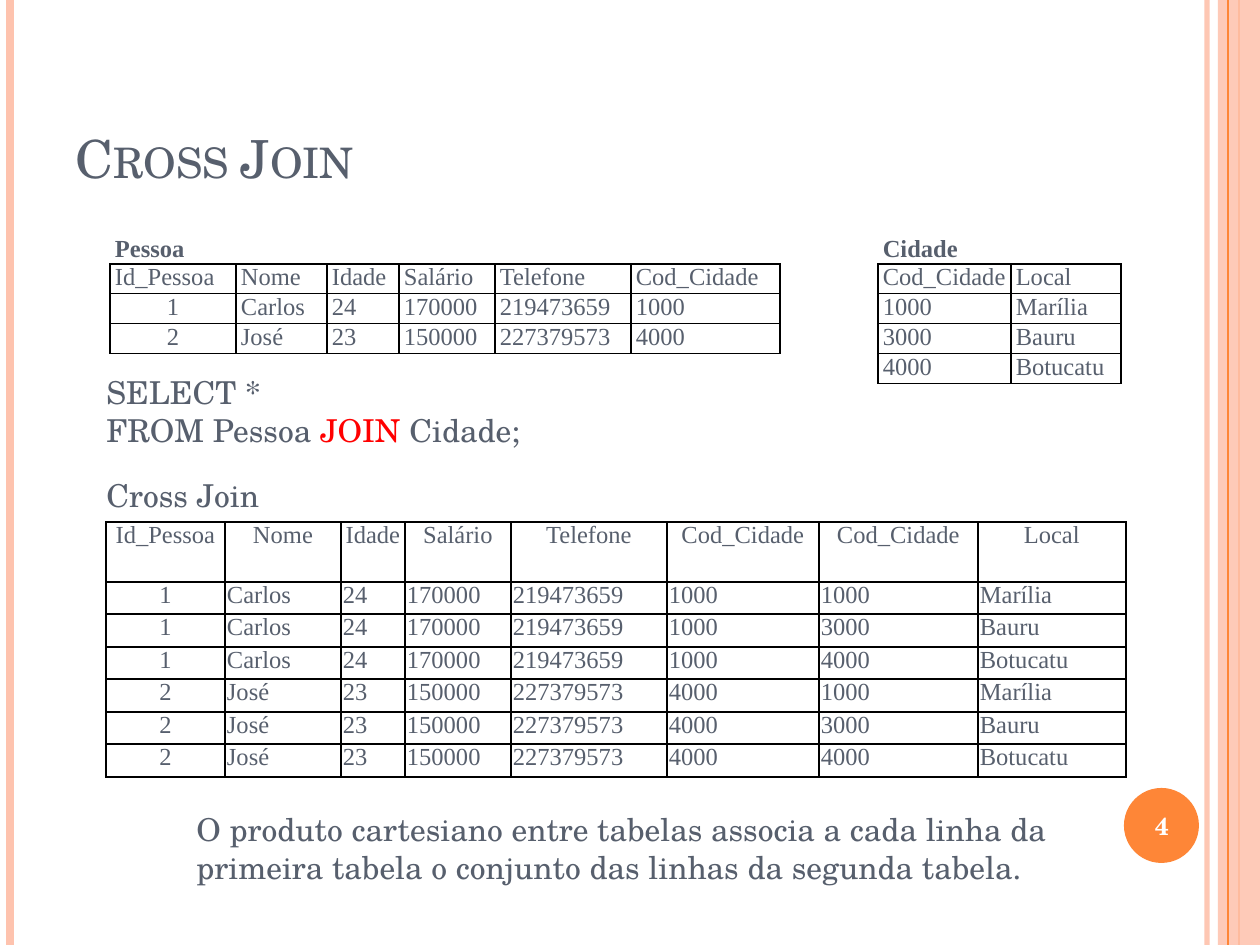
from itertools import product

from lxml.etree import SubElement
from pptx import Presentation
from pptx.dml.color import RGBColor
from pptx.enum.shapes import MSO_CONNECTOR, MSO_SHAPE
from pptx.enum.text import MSO_ANCHOR, PP_ALIGN
from pptx.oxml.ns import qn
from pptx.util import Pt

SCALE = 914400 / 126
WIDE, HIGH = 1260, 945
HUES = {"text": "575F6D", "key": "FF0000", "pale": "FEC3AE", "warm": "FE8637",
        "white": "FFFFFF", "edge": "000000"}
BODY = {"name": "TeX Gyre Schola", "size": Pt(18)}
CELL = {"name": "Times New Roman", "size": Pt(14)}
PLAIN = "{2D5ABB26-0587-4C30-8999-92F81FD0307C}"
SIDES = {"L": (0, -1), "R": (0, 1), "T": (-1, 0), "B": (1, 0)}

HEAD = ("Id_Pessoa", "Nome", "Idade", "Salário", "Telefone", "Cod_Cidade")
FOLK = [("1", "Carlos", "24", "170000", "219473659", "1000"),
        ("2", "José", "23", "150000", "227379573", "4000")]
PLACE = ("Cod_Cidade", "Local")
TOWNS = [("1000", "Marília"), ("3000", "Bauru"), ("4000", "Botucatu")]


def px(num):
    """Turn pixels into EMU."""
    return round(num * SCALE)


def box(*nums):
    """Turn a left, top, width, height box into EMU."""
    return [px(num) for num in nums]


def tone(name):
    """Look up a colour."""
    return RGBColor.from_string(HUES[name])


def apply(item, form):
    """Set attributes from a dict of format values."""
    for key, value in form.items():
        setattr(item, key, value)


def fade(node, share):
    """Make the solid colour under a node partly transparent."""
    color = next(node.iter(qn("a:srgbClr")))
    SubElement(color, qn("a:alpha"), val=str(share * 1000))


def add_run(para, text, form, hue="text"):
    """Add a formatted run to a paragraph."""
    run = para.add_run()
    run.text = text
    apply(run.font, form)
    run.font.color.rgb = tone(hue)
    return run


def add_rule(slide, left, width, hue, share=100):
    """Draw a full-height vertical line."""
    rule = slide.shapes.add_connector(
        MSO_CONNECTOR.STRAIGHT, px(left), 0, px(left), px(HIGH))
    rule.line.width = Pt(width)
    rule.line.color.rgb = tone(hue)
    fade(rule.line._ln, share)
    SubElement(rule._element.spPr, qn("a:effectLst"))


def add_form(slide, kind, area, hue, share=100):
    """Draw a filled shape without outline."""
    shape = slide.shapes.add_shape(kind, *box(*area))
    shape.shadow.inherit = False
    shape.fill.solid()
    shape.fill.fore_color.rgb = tone(hue)
    shape.line.fill.background()
    fade(shape._element.spPr, share)


def add_text(slide, area, lines, form=BODY, wrap=True, **frame):
    """Add a text box; each line is a list of text and colour pairs."""
    body = slide.shapes.add_textbox(*box(*area)).text_frame
    apply(body, {"word_wrap": wrap, **frame})
    for num, line in enumerate(lines):
        para = body.add_paragraph() if num else body.paragraphs[0]
        for text, hue in line:
            add_run(para, text, form, hue)
    return body


def add_edge(cell, side):
    """Draw one border of a cell."""
    line = SubElement(cell._tc.get_or_add_tcPr(), qn(f"a:ln{side}"), w=str(Pt(1)))
    fill = SubElement(line, qn("a:solidFill"))
    SubElement(fill, qn("a:srgbClr"), val=HUES["edge"])


def fill_cell(cell, text, pad, sides, mid=False, bold=False):
    """Format a cell and write its text."""
    apply(cell, {"margin_left": px(pad), "margin_right": px(pad),
                 "margin_top": 0, "margin_bottom": 0})
    for side in sides:
        add_edge(cell, side)
    cell.fill.solid()
    cell.fill.fore_color.rgb = tone("white")
    para = cell.text_frame.paragraphs[0]
    if not text:
        SubElement(para._p, qn("a:endParaRPr"), sz="1400")
        return
    para.alignment = PP_ALIGN.CENTER if mid else PP_ALIGN.LEFT
    add_run(para, text, {**CELL, "bold": bold})


def add_grid(slide, spot, cols, highs, rows, pad, spans=(), mid=False):
    """Add a table whose filled cells are boxed; spans merge its title row."""
    area = box(*spot, sum(cols), sum(highs))
    frame = slide.shapes.add_table(len(rows), len(cols), *area)
    table = frame.table
    table._tbl.tblPr.find(qn("a:tableStyleId")).text = PLAIN
    apply(table, {"first_row": False, "horz_banding": False})
    for col, width in zip(table.columns, cols):
        col.width = px(width)
    for row, high in zip(table.rows, highs):
        row.height = px(high)
    top = 1 if spans else 0
    boxed = {(r, c) for r, row in enumerate(rows)
             for c, text in enumerate(row) if text and r >= top}
    for r, row in enumerate(rows):
        for c, text in enumerate(row):
            sides = [side for side, (down, right) in SIDES.items()
                     if boxed & {(r, c), (r + down, c + right)}]
            center = len(text) == 1 or mid and r == 0
            fill_cell(table.cell(r, c), text, pad, sides, center, r < top)
    for first, last in spans:
        table.cell(0, first).merge(table.cell(0, last))
        table.cell(0, first).vertical_anchor = MSO_ANCHOR.MIDDLE


def add_title(slide, text):
    """Place and format the title placeholder."""
    title = slide.shapes.title
    apply(title, dict(zip(("left", "top", "width", "height"),
                          box(63, 38, 1029, 157))))
    body = title.text_frame
    body.vertical_anchor = MSO_ANCHOR.BOTTOM
    para = body.paragraphs[0]
    para.alignment = PP_ALIGN.LEFT
    run = add_run(para, text, {**BODY, "size": Pt(30)})
    run.font._element.set("cap", "small")


def add_decor(slide):
    """Draw the side bands and the number disc."""
    add_rule(slide, 1207, 3, "pale", 93)
    add_rule(slide, 10, 4.5, "pale")
    add_rule(slide, 1239, 1.5, "warm")
    add_form(slide, MSO_SHAPE.RECTANGLE, (1218, 0, 42, HIGH), "pale", 87)
    add_rule(slide, 1228, 0.75, "warm")
    add_form(slide, MSO_SHAPE.OVAL, (1124, 788, 75, 75), "warm")


def add_data(slide):
    """Add the source tables and their cross join."""
    left = [("Pessoa",) + ("",) * 5, HEAD, *FOLK, ("",) * 6]
    right = [("Cidade", ""), PLACE, *TOWNS]
    rows = [(*one, "", *two) for one, two in zip(left, right)]
    add_grid(slide, (110, 234), (126, 91, 72, 96, 136, 149, 98, 133, 110),
             [27] * 5, rows, 5, spans=((0, 5), (7, 8)))
    joined = [HEAD + PLACE] + [one + two for one, two in product(FOLK, TOWNS)]
    add_grid(slide, (106, 522), (119, 116, 64, 106, 156, 152, 159, 148),
             [60] + [32, 33] * 3, joined, 2, mid=True)


def main():
    """Build the slide and save it."""
    deck = Presentation()
    apply(deck, {"slide_width": px(WIDE), "slide_height": px(HIGH)})
    slide = deck.slides.add_slide(deck.slide_layouts[5])
    add_decor(slide)
    add_title(slide, "Cross Join")
    add_data(slide)
    add_text(slide, (94, 367, 630, 89), [
        [("SELECT *", "text")],
        [("FROM Pessoa ", "text"), ("JOIN", "key"), (" Cidade;", "text")]])
    add_text(slide, (94, 470, 190, 50), [[("Cross Join", "text")]], wrap=False)
    add_text(slide, (184, 804, 950, 89), [
        [("O produto cartesiano entre tabelas associa a cada linha da primeira "
          "tabela o conjunto das linhas da segunda tabela.", "text")]])
    page = add_text(slide, (1120, 790, 84, 72), [[("4", "white")]],
                    {**BODY, "size": Pt(14), "bold": True},
                    vertical_anchor=MSO_ANCHOR.MIDDLE)
    page.paragraphs[0].alignment = PP_ALIGN.CENTER
    deck.save("out.pptx")


if __name__ == "__main__":
    main()
